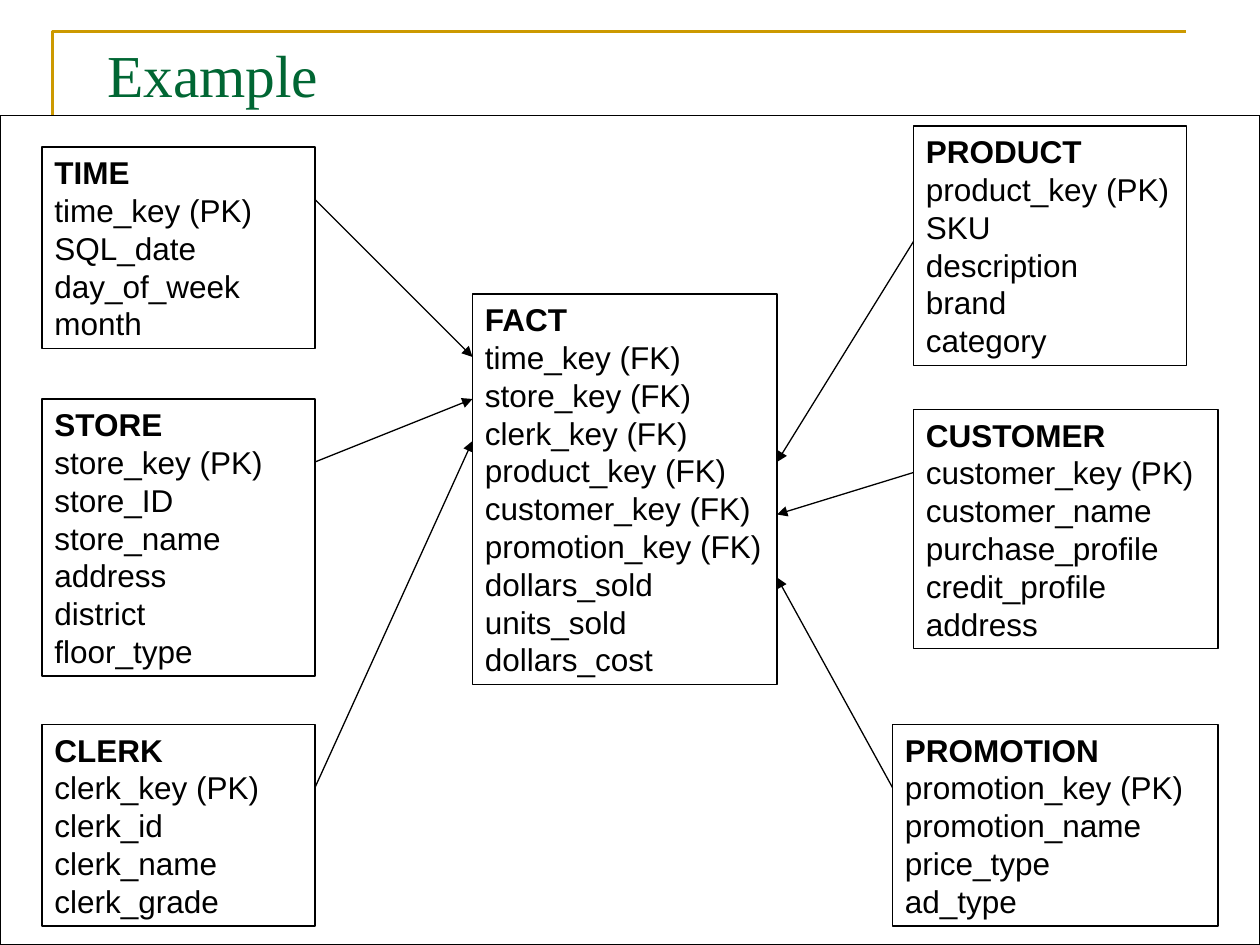
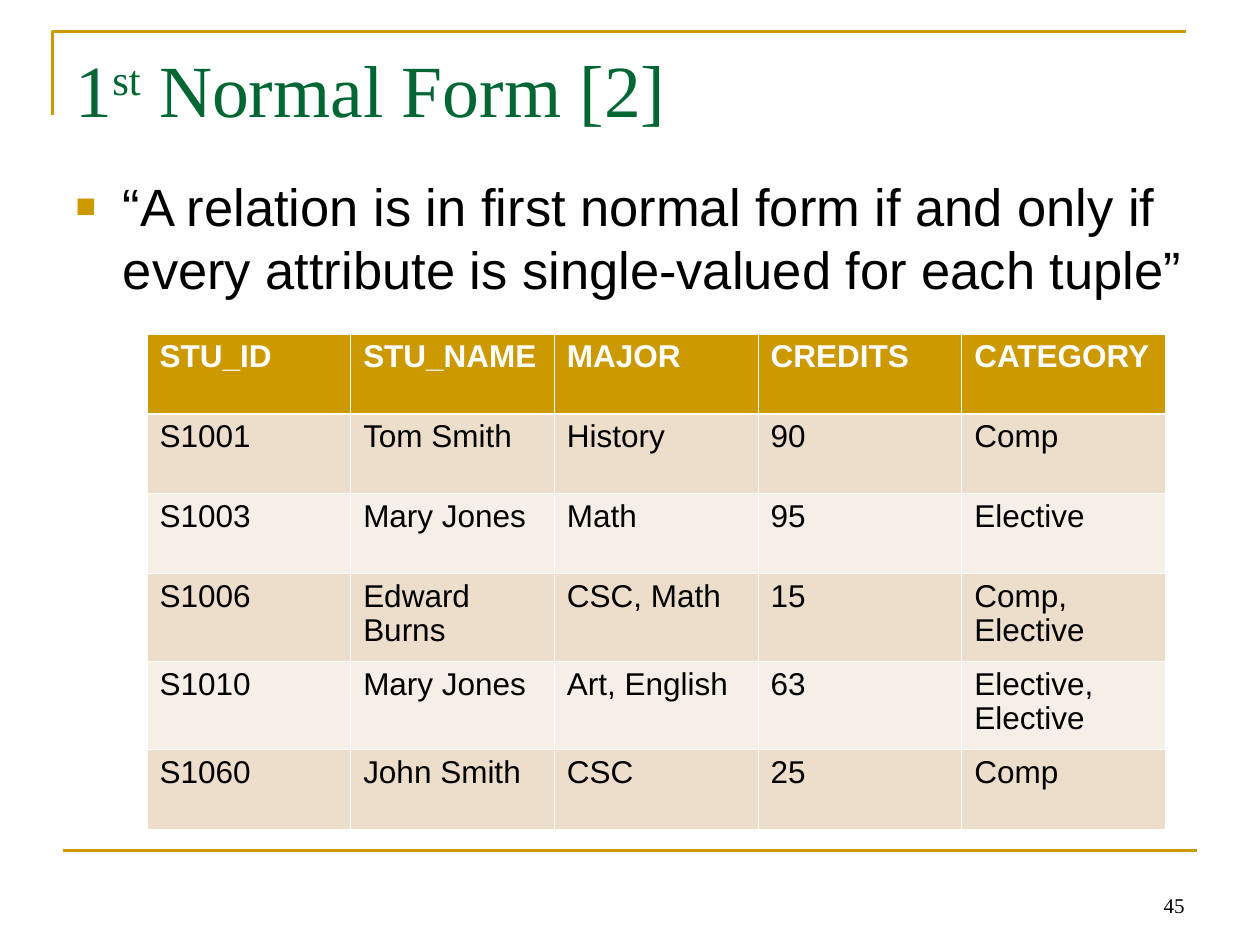
from lxml import etree
from pptx import Presentation
from pptx.dml.color import RGBColor
from pptx.enum.shapes import MSO_CONNECTOR, MSO_SHAPE
from pptx.enum.text import MSO_ANCHOR, MSO_AUTO_SIZE, PP_ALIGN
from pptx.oxml.ns import qn
from pptx.util import Pt

RECTANGLE = MSO_SHAPE.RECTANGLE
STRAIGHT = MSO_CONNECTOR.STRAIGHT
TOP, BOTTOM = MSO_ANCHOR.TOP, MSO_ANCHOR.BOTTOM
LEFT, RIGHT = PP_ALIGN.LEFT, PP_ALIGN.RIGHT
NO_AUTOFIT = MSO_AUTO_SIZE.NONE

# Positions within the layouts of the default template
TITLE_AND_CONTENT, TITLE_ONLY = 1, 5


def color(hex_string):
    return RGBColor.from_string(hex_string)


def add_xml(parent, tag, **attributes):
    return etree.SubElement(parent, qn(tag), attributes)


class Deck:
    GOLD, GREEN, BLACK, WHITE = "CC9900", "006633", "000000", "FFFFFF"
    BANDS = "F6EFE7", "ECDECB"
    SANS, SERIF = "Arial", "Times New Roman"
    LINE_HEIGHT = 21.6
    SIDE_INSET, END_INSET = 7.2, 3.6
    CELL_SPACING = 0.97

    def __init__(self):
        self.presentation = Presentation()
        self.presentation.slide_width = Pt(720)
        self.presentation.slide_height = Pt(540)
        self.slide = None

    def add_slide(self, layout_index):
        layout = self.presentation.slide_layouts[layout_index]
        self.slide = self.presentation.slides.add_slide(layout)
        # Corner rule at the top left
        builder = self.slide.shapes.build_freeform(Pt(30), Pt(66))
        builder.add_line_segments([(Pt(30), Pt(18)), (Pt(678), Pt(18))], close=False)
        corner = builder.convert_to_shape()
        corner.shadow.inherit = False
        corner.fill.background()
        self.style_line(corner.line, self.GOLD, 1.5)

    def style_line(self, line, line_color, width):
        line.color.rgb = color(line_color)
        line.width = Pt(width)

    def place(self, shape, left, top, width, height):
        shape.left, shape.top = Pt(left), Pt(top)
        shape.width, shape.height = Pt(width), Pt(height)

    def set_margins(self, holder):
        holder.margin_left = holder.margin_right = Pt(self.SIDE_INSET)
        holder.margin_top = holder.margin_bottom = Pt(self.END_INSET)

    def prepare_frame(self, frame, anchor=TOP):
        frame.word_wrap = True
        frame.auto_size = NO_AUTOFIT
        frame.vertical_anchor = anchor
        self.set_margins(frame)

    def add_run(self, paragraph, text, size, font_name, font_color, bold=False):
        run = paragraph.add_run()
        run.text = text
        run.font.size = Pt(size)
        run.font.name = font_name
        run.font.color.rgb = color(font_color)
        run.font.bold = bold
        return run

    def set_paragraph(self, paragraph, spacing=1.0, alignment=LEFT):
        paragraph.alignment = alignment
        paragraph.line_spacing = spacing
        paragraph.space_before = Pt(0)

    def title(self, parts, box, size):
        """Each part is a text and whether it is superscript."""
        title = self.slide.shapes.title
        self.place(title, *box)
        self.prepare_frame(title.text_frame)
        paragraph = title.text_frame.paragraphs[0]
        self.set_paragraph(paragraph)
        for text, raised in parts:
            run = self.add_run(paragraph, text, size, self.SERIF, self.GREEN)
            if raised:
                run._r.get_or_add_rPr().set("baseline", "30000")

    def bullet(self, text, box):
        body = self.slide.placeholders[1]
        self.place(body, *box)
        self.prepare_frame(body.text_frame)
        paragraph = body.text_frame.paragraphs[0]
        properties = paragraph._p.get_or_add_pPr()
        properties.set("marL", str(Pt(27)))
        properties.set("indent", str(Pt(-27)))
        bullet_color = add_xml(properties, "a:buClr")
        add_xml(bullet_color, "a:srgbClr", val=self.GOLD)
        add_xml(properties, "a:buSzPct", val="65000")
        add_xml(properties, "a:buFont", typeface=self.SANS)
        add_xml(properties, "a:buChar", char="■")
        self.set_paragraph(paragraph)
        self.add_run(paragraph, text, 30, self.SANS, self.BLACK)

    def rectangle(self, left, top, width, height, fill=None):
        shape = self.slide.shapes.add_shape(
            RECTANGLE, Pt(left), Pt(top), Pt(width), Pt(height))
        shape.shadow.inherit = False
        if fill:
            shape.fill.solid()
            shape.fill.fore_color.rgb = color(fill)
        else:
            shape.fill.background()
        self.style_line(shape.line, self.BLACK, 0.75)
        return shape

    def entity(self, left, top, width, name, fields):
        lines = [name, *fields]
        height = len(lines) * self.LINE_HEIGHT + 2 * self.END_INSET
        frame = self.rectangle(left, top, width, height).text_frame
        self.prepare_frame(frame)
        for index, text in enumerate(lines):
            paragraph = frame.add_paragraph() if index else frame.paragraphs[0]
            self.set_paragraph(paragraph)
            self.add_run(paragraph, text, 18, self.SANS, self.BLACK, bold=index == 0)

    def line(self, start, end, line_color, width, arrow=False):
        connector = self.slide.shapes.add_connector(
            STRAIGHT, *(Pt(value) for value in (*start, *end)))
        self.style_line(connector.line, line_color, width)
        if arrow:
            add_xml(connector.line._get_or_add_ln(), "a:tailEnd", type="triangle")
        add_xml(connector._element.spPr, "a:effectLst")

    def footer(self, number):
        self.line((36, 486), (684, 486), self.GOLD, 1.5)
        box = self.slide.shapes.add_textbox(Pt(516), Pt(492), Pt(168), Pt(36))
        self.prepare_frame(box.text_frame, BOTTOM)
        paragraph = box.text_frame.paragraphs[0]
        self.set_paragraph(paragraph, alignment=RIGHT)
        self.add_run(paragraph, number, 12, self.SERIF, self.BLACK)

    def cell_borders(self, cell, row_index):
        properties = cell._tc.get_or_add_tcPr()
        thick_side = {0: "B", 1: "T"}.get(row_index)
        for side in "LRTB":
            width = Pt(1.47 if side == thick_side else 0.45)
            border = add_xml(properties, f"a:ln{side}", w=str(width))
            fill = add_xml(border, "a:solidFill")
            add_xml(fill, "a:srgbClr", val=self.WHITE)

    def table(self, rows, left, top, column_width, row_heights):
        columns = len(rows[0])
        table = self.slide.shapes.add_table(
            len(rows), columns, Pt(left), Pt(top),
            Pt(column_width * columns), Pt(sum(row_heights))).table
        table.horz_banding = False
        for column in table.columns:
            column.width = Pt(column_width)
        for row_index, values in enumerate(rows):
            table.rows[row_index].height = Pt(row_heights[row_index])
            header = row_index == 0
            for column_index, text in enumerate(values):
                cell = table.cell(row_index, column_index)
                self.cell_borders(cell, row_index)
                cell.fill.solid()
                fill = self.GOLD if header else self.BANDS[row_index % 2]
                cell.fill.fore_color.rgb = color(fill)
                self.set_margins(cell)
                paragraph = cell.text_frame.paragraphs[0]
                self.set_paragraph(paragraph, self.CELL_SPACING)
                font_color = self.WHITE if header else self.BLACK
                self.add_run(paragraph, text, 18, self.SANS, font_color, bold=header)


# Left, top, width, name and fields of each entity
ENTITIES = [
    (24, 84, 156, "TIME", ["time_key (PK)", "SQL_date", "day_of_week", "month"]),
    (24, 228, 156, "STORE", ["store_key (PK)", "store_ID", "store_name", "address",
                             "district", "floor_type"]),
    (24, 414, 156, "CLERK", ["clerk_key (PK)", "clerk_id", "clerk_name",
                             "clerk_grade"]),
    (522, 72, 156, "PRODUCT", ["product_key (PK)", "SKU", "description", "brand",
                               "category"]),
    (522, 234, 174, "CUSTOMER", ["customer_key (PK)", "customer_name",
                                 "purchase_profile", "credit_profile", "address"]),
    (510, 414, 186, "PROMOTION", ["promotion_key (PK)", "promotion_name",
                                  "price_type", "ad_type"]),
    (270, 168, 174, "FACT", ["time_key (FK)", "store_key (FK)", "clerk_key (FK)",
                             "product_key (FK)", "customer_key (FK)",
                             "promotion_key (FK)", "dollars_sold", "units_sold",
                             "dollars_cost"]),
]

# Start and end of the arrows from the dimensions to the fact table
KEY_ARROWS = [
    ((180, 114), (270, 204)),
    ((180, 264), (270, 228)),
    ((180, 450), (270, 252)),
    ((522, 138), (444, 264)),
    ((522, 270), (444, 294)),
    ((510, 450), (444, 330)),
]

STUDENTS = [
    ("STU_ID", "STU_NAME", "MAJOR", "CREDITS", "CATEGORY"),
    ("S1001", "Tom Smith", "History", "90", "Comp"),
    ("S1003", "Mary Jones", "Math", "95", "Elective"),
    ("S1006", "Edward Burns", "CSC, Math", "15", "Comp, Elective"),
    ("S1010", "Mary Jones", "Art, English", "63", "Elective, Elective"),
    ("S1060", "John Smith", "CSC", "25", "Comp"),
]


def build_star_schema(deck):
    deck.add_slide(TITLE_ONLY)
    deck.title([("Example", False)], (54, 18, 612, 90), 34)
    deck.rectangle(0, 66, 720, 474, deck.WHITE)
    for entity in ENTITIES:
        deck.entity(*entity)
    for start, end in KEY_ARROWS:
        deck.line(start, end, deck.BLACK, 0.75, arrow=True)


def build_normal_form(deck):
    deck.add_slide(TITLE_AND_CONTENT)
    deck.title([("1", False), ("st", True), (" Normal Form [2]", False)],
               (36, 21.6, 648, 90), 42)
    deck.bullet("“A relation is in first normal form if and only if every attribute "
                "is single-valued for each tuple”", (36, 96, 648, 356))
    deck.footer("45")
    single, double = 45.7, 50.3
    deck.table(STUDENTS, 84, 190.8, 116.4,
               [single, single, single, double, double, single])


def main():
    deck = Deck()
    build_star_schema(deck)
    build_normal_form(deck)
    deck.presentation.save("out.pptx")


if __name__ == "__main__":
    main()
